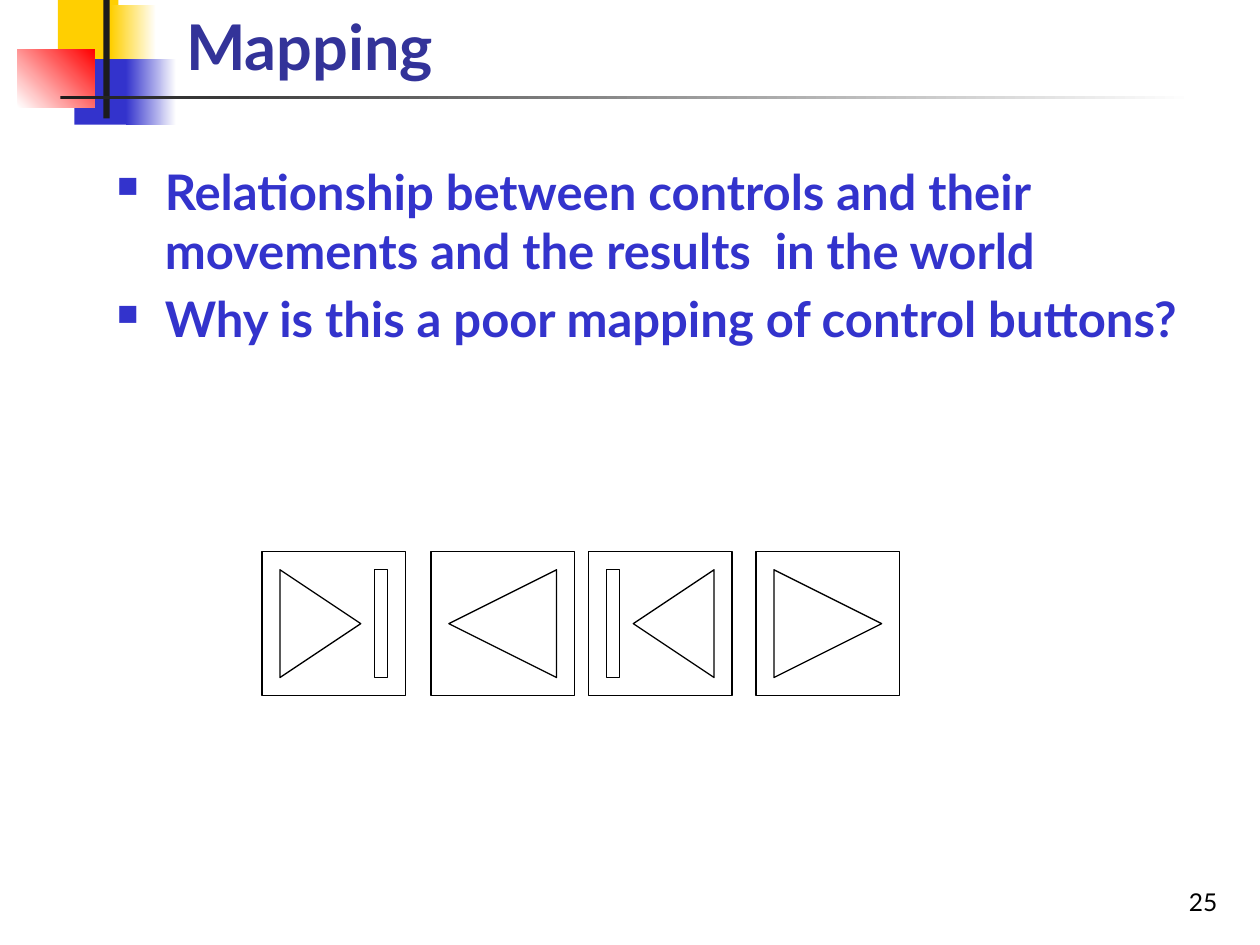
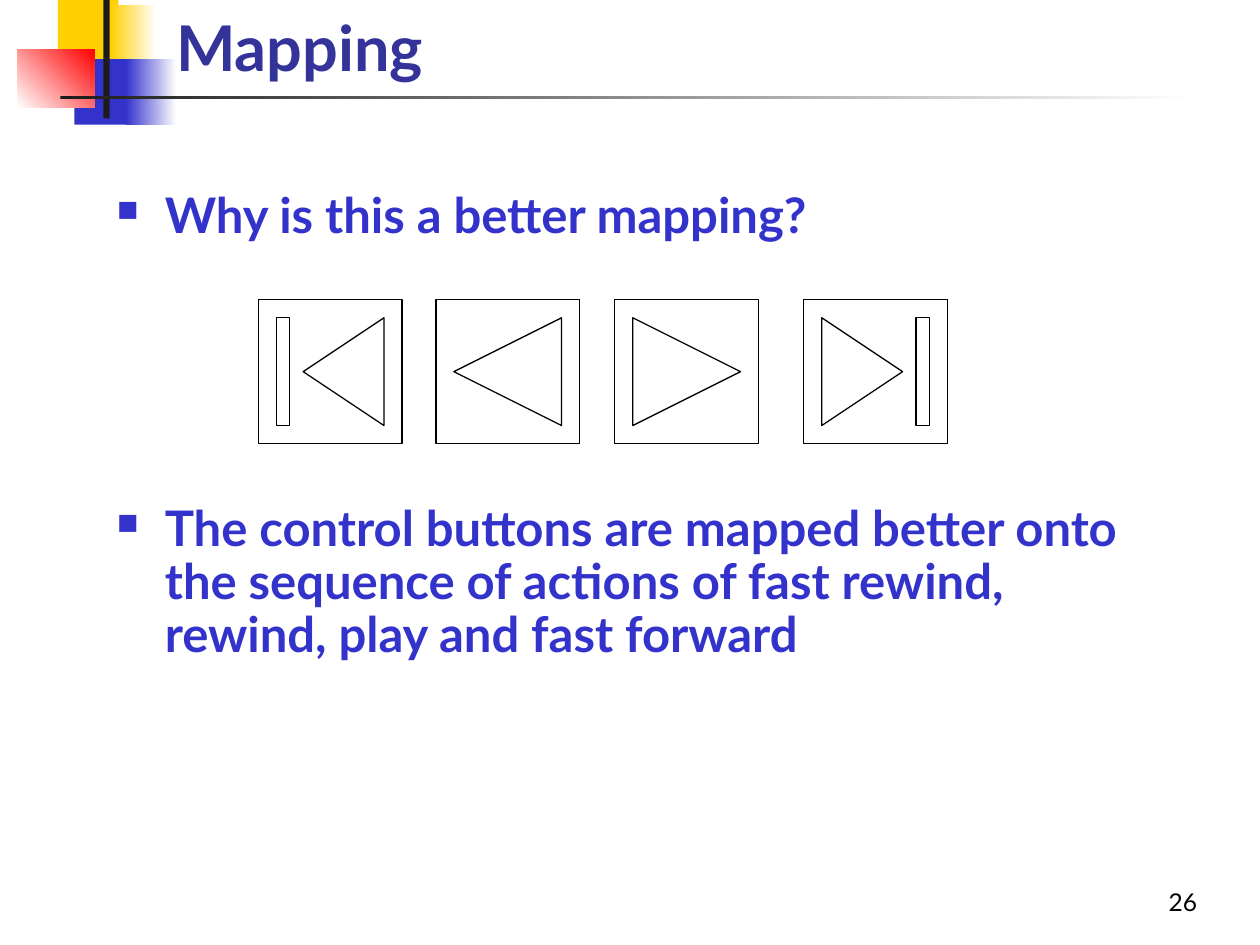
from lxml import etree
from pptx import Presentation
from pptx.dml.color import RGBColor
from pptx.enum.shapes import MSO_SHAPE
from pptx.enum.text import MSO_ANCHOR, PP_ALIGN
from pptx.oxml.ns import qn
from pptx.util import Inches, Pt

RECTANGLE = MSO_SHAPE.RECTANGLE
FORWARD = MSO_SHAPE.ACTION_BUTTON_FORWARD_OR_NEXT
BACK = MSO_SHAPE.ACTION_BUTTON_BACK_OR_PREVIOUS
BEGINNING = MSO_SHAPE.ACTION_BUTTON_BEGINNING
END = MSO_SHAPE.ACTION_BUTTON_END
TOP, BOTTOM = MSO_ANCHOR.TOP, MSO_ANCHOR.BOTTOM
LEFT, RIGHT = PP_ALIGN.LEFT, PP_ALIGN.RIGHT

FONT = "Lato"
WHITE, BLACK, CHARCOAL = "FFFFFF", "000000", "1C1C1C"
YELLOW, RED, BLUE, NAVY = "FFCF01", "FF0000", "3333CC", "333399"
BUTTON_SIZE = 1.14
BULLET_INDENT = 0.38
BODY_SIZE = 28

ORNAMENT = [
    ((0.46, 0, 0.48, 0.52), (YELLOW,), 0),
    ((0.88, 0.04, 0.36, 0.52), (YELLOW, WHITE), 0),
    ((0.59, 0.47, 0.46, 0.52), (BLUE,), 0),
    ((1, 0.47, 0.4, 0.52), (BLUE, WHITE), 0),
    ((0.14, 0.39, 0.61, 0.46), (WHITE, RED), 45),
    ((0.82, 0, 0.05, 0.94), (CHARCOAL,), 0),
    ((0.48, 0.76, 9, 0.03), (CHARCOAL, WHITE), 0),
]


def rgb(value):
    return RGBColor.from_string(value)


class MappingDeck:
    """Hold the deck style and the slide being built."""

    def __init__(self):
        self.deck = Presentation()
        self.deck.slide_width = Inches(10)
        self.deck.slide_height = Inches(7.5)
        self.page = None

    def add_page(self, title, title_left, title_top, number, number_left):
        self.page = self.deck.slides.add_slide(self.deck.slide_layouts[6])
        for place, colors, angle in ORNAMENT:
            self.add_block(place, colors, angle)
        self.add_text((title_left, title_top, 8.52, 0.71), [title], 36, NAVY,
                      bold=True, anchor=BOTTOM)
        self.add_text((number_left, 6.82, 2.08, 0.5), [number], 14, BLACK,
                      anchor=BOTTOM, align=RIGHT)

    def add_shape(self, kind, place):
        shape = self.page.shapes.add_shape(kind, *map(Inches, place))
        shape.shadow.inherit = False
        return shape

    def add_block(self, place, colors, angle):
        block = self.add_shape(RECTANGLE, place)
        block.line.fill.background()
        if len(colors) == 1:
            block.fill.solid()
            block.fill.fore_color.rgb = rgb(colors[0])
            return
        block.fill.gradient()
        block.fill.gradient_angle = angle
        for stop, color in zip(block.fill.gradient_stops, colors):
            stop.color.rgb = rgb(color)

    def add_text(self, place, texts, size, color, bold=False, anchor=TOP, align=LEFT):
        box = self.page.shapes.add_textbox(*map(Inches, place))
        frame = box.text_frame
        frame.word_wrap = True
        frame.vertical_anchor = anchor
        frame.text = "\n".join(texts)
        for para in frame.paragraphs:
            para.alignment = align
            for span in para.runs:
                span.font.name = FONT
                span.font.size = Pt(size)
                span.font.bold = bold
                span.font.color.rgb = rgb(color)
        return frame

    def add_bullets(self, place, texts, gap, line_spacing=1.0):
        frame = self.add_text(place, texts, BODY_SIZE, BLUE, bold=True)
        for index, para in enumerate(frame.paragraphs):
            para.line_spacing = line_spacing
            para.space_before = Pt(gap if index else 0)
            self.add_bullet_mark(para)

    def add_bullet_mark(self, para):
        properties = para._p.get_or_add_pPr()
        properties.set("marL", str(Inches(BULLET_INDENT)))
        properties.set("indent", str(-Inches(BULLET_INDENT)))
        color = etree.SubElement(properties, qn("a:buClr"))
        etree.SubElement(color, qn("a:srgbClr"), val=BLUE)
        etree.SubElement(properties, qn("a:buSzPct"), val="60000")
        etree.SubElement(properties, qn("a:buChar"), char="■")

    def add_buttons(self, top, buttons):
        for kind, left in buttons:
            button = self.add_shape(kind, (left, top, BUTTON_SIZE, BUTTON_SIZE))
            button.fill.background()
            button.line.color.rgb = rgb(BLACK)
            button.line.width = Pt(0.75)


def main():
    mapping = MappingDeck()

    mapping.add_page("Mapping", 1.38, 0, "25", 7.68)
    mapping.add_bullets(
        (0.83, 1.23, 8.66, 2.99),
        ["Relationship between controls and their movements and the results  in the world",
         "Why is this a poor mapping of control buttons?"],
        gap=5.6)
    mapping.add_buttons(4.38, [(END, 2.08), (BACK, 3.42), (BEGINNING, 4.67), (FORWARD, 6)])

    mapping.add_page("Mapping", 1.3, 0.01, "26", 7.52)
    mapping.add_bullets(
        (0.83, 1.47, 8.29, 4.25),
        ["Why is this a better mapping?",
         "The control buttons are mapped better onto the sequence of actions of "
         "fast rewind, rewind, play and fast forward"],
        gap=148.6, line_spacing=0.9)
    mapping.add_buttons(2.38, [(BEGINNING, 2.05), (BACK, 3.46), (FORWARD, 4.88), (END, 6.38)])

    mapping.deck.save("out.pptx")


if __name__ == "__main__":
    main()
